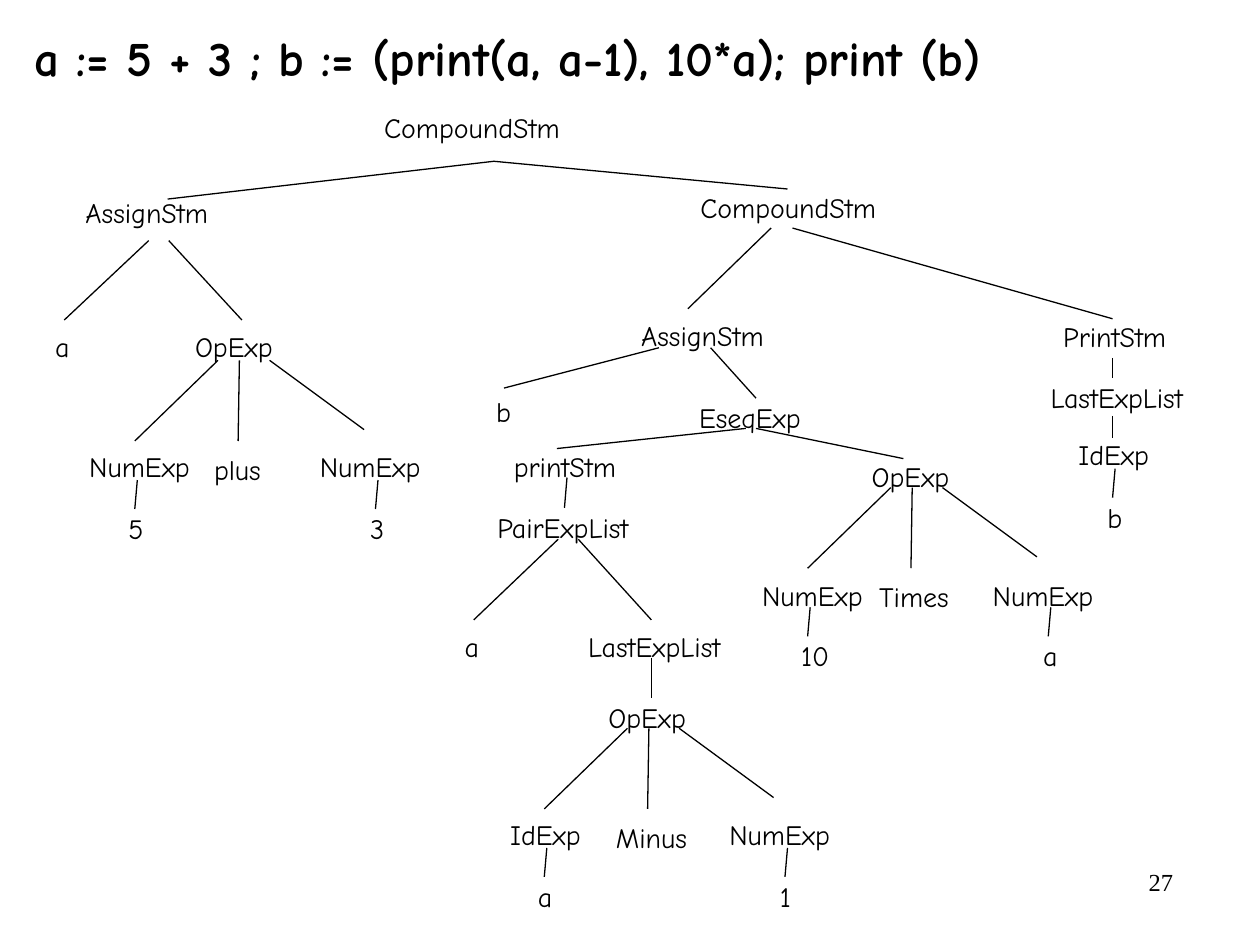
"""Build a slide with the syntax tree of a short program."""
from dataclasses import dataclass

from lxml.etree import SubElement
from pptx import Presentation
from pptx.dml.color import RGBColor
from pptx.enum.shapes import MSO_CONNECTOR
from pptx.enum.text import MSO_ANCHOR, MSO_AUTO_SIZE, PP_ALIGN
from pptx.oxml.ns import qn
from pptx.util import Inches, Pt

INK = "000000"
FONT = "Comic Neue"
WIDTHS = {
    "CompoundStm": 1.61, "AssignStm": 1.19, "PrintStm": 1.03, "printStm": 1.03,
    "OpExp": 0.83, "NumExp": 1.02, "IdExp": 0.78, "EseqExp": 1.03,
    "LastExpList": 1.27, "PairExpList": 1.27, "plus": 0.59, "Times": 0.77,
    "Minus": 0.78, "10": 0.44, "1": 0.31,
}
LEAF = 0.33


@dataclass(frozen=True)
class Node:
    text: str
    left: float
    top: float


@dataclass(frozen=True)
class Edge:
    x1: float
    y1: float
    x2: float
    y2: float


@dataclass(frozen=True)
class Fan:
    """An operator with two operands, placed from its first branch."""
    x: float
    y: float
    first: Node
    mid: Node
    leaves: tuple[str, str]


NODES = (
    Node("CompoundStm", 2.95, 0.83),
    Node("AssignStm", 0.58, 1.5),
    Node("CompoundStm", 5.46, 1.46),
    Node("a", 0.34, 2.57),
    Node("OpExp", 1.45, 2.57),
    Node("AssignStm", 4.99, 2.48),
    Node("PrintStm", 8.34, 2.49),
    Node("LastExpList", 8.24, 2.97),
    Node("IdExp", 8.46, 3.42),
    Node("b", 8.69, 3.92),
    Node("b", 3.84, 3.08),
    Node("EseqExp", 5.45, 3.13),
    Node("printStm", 3.98, 3.52),
    Node("OpExp", 6.82, 3.6),
    Node("PairExpList", 3.85, 4),
    Node("a", 3.59, 4.95),
    Node("LastExpList", 4.57, 4.95),
    Node("OpExp", 4.73, 5.51),
)
EDGES = (
    Edge(3.92, 1.28, 1.33, 1.58),
    Edge(3.92, 1.28, 6.25, 1.5),
    Edge(1.18, 1.91, 0.51, 2.54),
    Edge(1.34, 1.91, 1.92, 2.54),
    Edge(6.12, 1.81, 5.46, 2.45),
    Edge(6.29, 1.81, 8.83, 2.53),
    Edge(5.23, 2.76, 4, 3.08),
    Edge(5.64, 2.76, 6, 3.16),
    Edge(8.83, 2.84, 8.83, 3),
    Edge(8.83, 3.3, 8.83, 3.48),
    Edge(8.85, 3.72, 8.83, 3.95),
    Edge(5.92, 3.4, 4.42, 3.56),
    Edge(6, 3.4, 7.17, 3.64),
    Edge(4.5, 3.79, 4.48, 4.03),
    Edge(4.43, 4.28, 3.76, 4.92),
    Edge(4.59, 4.28, 5.17, 4.92),
    Edge(5.17, 5.22, 5.17, 5.54),
)
FANS = (
    Fan(1.73, 2.86, Node("NumExp", -1.12, 0.66), Node("plus", -0.13, 0.68), ("5", "3")),
    Fan(7.07, 3.87, Node("NumExp", -1.12, 0.67), Node("Times", -0.19, 0.68), ("10", "a")),
    Fan(4.98, 5.78, Node("IdExp", -1.03, 0.66), Node("Minus", -0.19, 0.68), ("a", "1")),
)
BRANCHES = (
    Edge(0, 0, -0.66, 0.64),
    Edge(0.17, 0, 0.16, 0.64),
    Edge(0.41, 0, 1.16, 0.55),
    Edge(-0.64, 0.95, -0.66, 1.18),
    Edge(1.27, 0.95, 1.25, 1.18),
)


def color(code: str) -> RGBColor:
    return RGBColor.from_string(code)


def write(shape, text: str, size: float, face: str = FONT, bold: bool = False,
          align=PP_ALIGN.LEFT, wrap: bool = True, grow: bool = True) -> None:
    frame = shape.text_frame
    frame.text = text
    frame.word_wrap = wrap
    frame.auto_size = MSO_AUTO_SIZE.SHAPE_TO_FIT_TEXT if grow else MSO_AUTO_SIZE.NONE
    frame.vertical_anchor = MSO_ANCHOR.TOP
    line = frame.paragraphs[0]
    line.alignment = align
    font = line.runs[0].font
    font.name, font.size, font.bold = face, Pt(size), bold
    font.color.rgb = color(INK)


def draw_node(tree, node: Node, dx: float = 0, dy: float = 0) -> None:
    width = WIDTHS.get(node.text, LEAF)
    box = tree.shapes.add_textbox(
        Inches(node.left + dx), Inches(node.top + dy), Inches(width), Inches(0.37))
    write(box, node.text, 16, wrap=False)


def draw_edge(tree, edge: Edge, dx: float = 0, dy: float = 0) -> None:
    line = tree.shapes.add_connector(
        MSO_CONNECTOR.STRAIGHT, Inches(edge.x1 + dx), Inches(edge.y1 + dy),
        Inches(edge.x2 + dx), Inches(edge.y2 + dy))
    line.line.color.rgb = color(INK)
    line.line.width = Pt(0.75)
    SubElement(line._element.spPr, qn("a:effectLst"))


def draw_fan(tree, fan: Fan) -> None:
    left, right = fan.leaves
    parts = (fan.first, fan.mid, Node("NumExp", 0.71, fan.first.top),
             Node(left, -0.81, 1.15), Node(right, 1.11, 1.15))
    for edge in BRANCHES:
        draw_edge(tree, edge, fan.x, fan.y)
    for node in parts:
        draw_node(tree, node, fan.x, fan.y)


def main() -> None:
    deck = Presentation()
    deck.slide_width, deck.slide_height = Inches(10), Inches(7.5)
    slide = deck.slides.add_slide(deck.slide_layouts[5])

    title = slide.shapes.title
    title.left, title.top = Inches(0.17), Inches(0.17)
    title.width, title.height = Inches(9.67), Inches(0.57)
    write(title, "a := 5 + 3 ; b := (print(a, a-1), 10*a); print (b)", 28, bold=True)

    page = slide.shapes.add_textbox(Inches(7.33), Inches(6.83), Inches(2.08), Inches(0.5))
    write(page, "27", 14, "Times New Roman", align=PP_ALIGN.RIGHT, grow=False)

    tree = slide.shapes.add_group_shape()
    for edge in EDGES:
        draw_edge(tree, edge)
    for node in NODES:
        draw_node(tree, node)
    for fan in FANS:
        draw_fan(tree, fan)

    deck.save("out.pptx")


if __name__ == "__main__":
    main()
